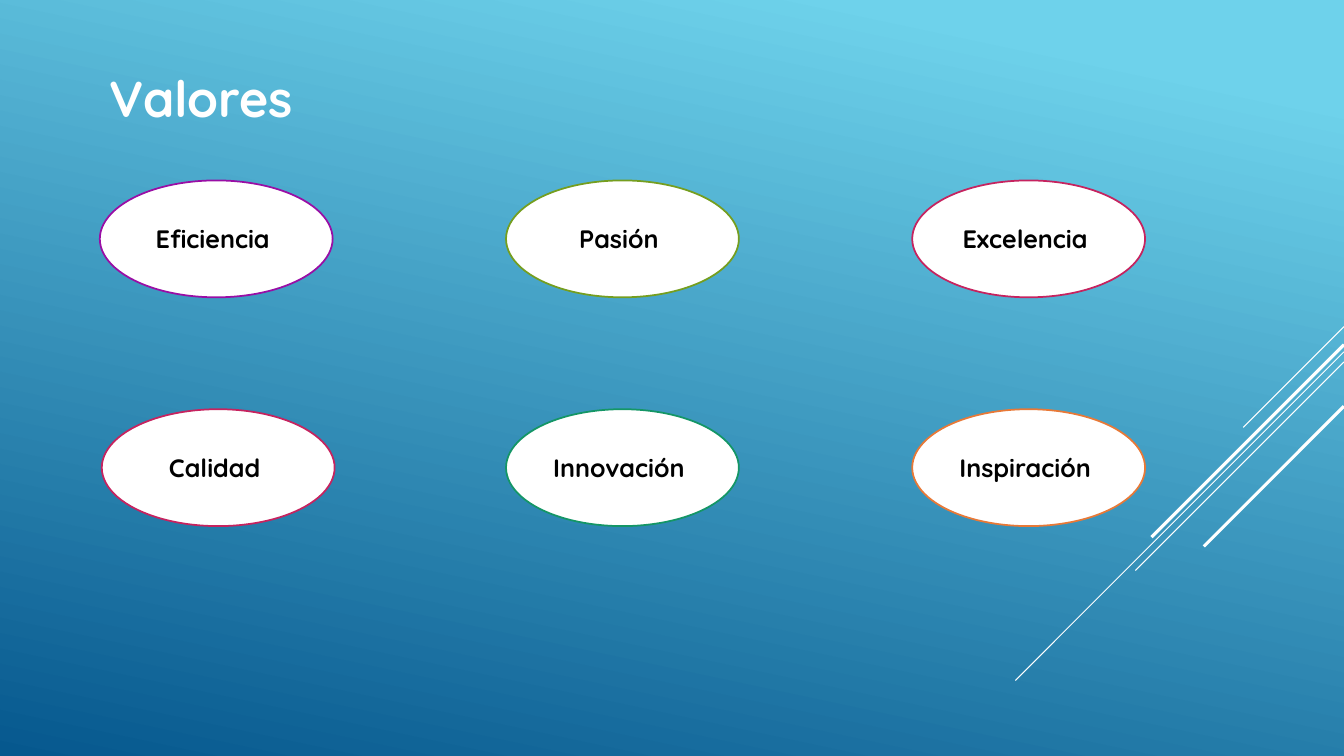
import pptx
import pptx.dml.color
import pptx.enum.shapes
import pptx.enum.text
import pptx.util
import lxml.etree

Pt = pptx.util.Pt
WIDE, HIGH = 960, 540
RAYS = [(233.3, 72, 0.75), (251.3, 234.7, 0.75), (258.5, 149, 0.75),
        (246.2, 137.5, 2.25), (290.2, 100.1, 2.25)]
VALUES = [[("Eficiencia ", "990EA5", 0), ("Pasión ", "759E1F", 0), ("Excelencia ", "C6235F", 0)],
          [("Calidad ", "C6235F", 1.4), ("Innovación ", "149666", 0), ("Inspiración ", "E87937", 0)]]


def tint(code):
    """Turn a hex string into a colour."""
    return pptx.dml.color.RGBColor.from_string(code)


def write(frame, text, size, code, align):
    """Put one bold run in the middle of a frame."""
    frame.word_wrap = True
    frame.vertical_anchor = pptx.enum.text.MSO_ANCHOR.MIDDLE
    line = frame.paragraphs[0]
    line.alignment = align
    run = line.add_run()
    run.text = text
    run.font.name = "Quicksand"
    run.font.size = Pt(size)
    run.font.bold = True
    run.font.color.rgb = tint(code)


def paint(slide):
    """Fill the background with a blue gradient."""
    fill = slide.background.fill
    fill.gradient()
    fill.gradient_angle = 258
    for stop, (place, code) in zip(fill.gradient_stops, [(0.1, "6ED2EB"), (1, "06588E")]):
        stop.position = place
        stop.color.rgb = tint(code)


def draw_rays(slide, right):
    """Draw diagonal rays that run down and left from the right edge."""
    for top, span, weight in RAYS:
        ray = slide.shapes.add_connector(
            pptx.enum.shapes.MSO_CONNECTOR.STRAIGHT,
            Pt(right), Pt(top), Pt(right - span), Pt(top + span))
        ray.line.color.rgb = tint("FFFFFF")
        ray.line.width = Pt(weight)
        lxml.etree.SubElement(ray._element.spPr, pptx.oxml.ns.qn("a:effectLst"))


def add_title(slide, left, top, width, height):
    """Add the slide title in its box."""
    box = slide.shapes.add_textbox(Pt(left), Pt(top), Pt(width), Pt(height))
    write(box.text_frame, "Valores", 36, "FFFFFF", pptx.enum.text.PP_ALIGN.LEFT)


def add_values(slide, left, top, width, height):
    """Lay out the values as a grid of ovals that fills the box."""
    wide, high = 166.3, 83.5
    step = (width - wide) / 2
    drop = height - high
    for row, items in enumerate(VALUES):
        for col, (text, code, shift) in enumerate(items):
            oval = slide.shapes.add_shape(
                pptx.enum.shapes.MSO_SHAPE.OVAL, Pt(left + col * step + shift),
                Pt(top + row * drop), Pt(wide), Pt(high))
            oval.shadow.inherit = False
            oval.fill.solid()
            oval.fill.fore_color.rgb = tint("FFFFFF")
            oval.line.color.rgb = tint(code)
            oval.line.width = Pt(1.25)
            write(oval.text_frame, text, 18, "000000", pptx.enum.text.PP_ALIGN.CENTER)


def main():
    """Build and save the slide."""
    deck = pptx.Presentation()
    deck.slide_width, deck.slide_height = Pt(WIDE), Pt(HIGH)
    slide = deck.slides.add_slide(deck.slide_layouts[6])
    paint(slide)
    draw_rays(slide, WIDE)
    add_title(slide, 71.3, 23.8, 149, 91.4)
    add_values(slide, 71.3, 128.9, 746.6, 246.9)
    deck.save("out.pptx")


if __name__ == "__main__":
    main()
